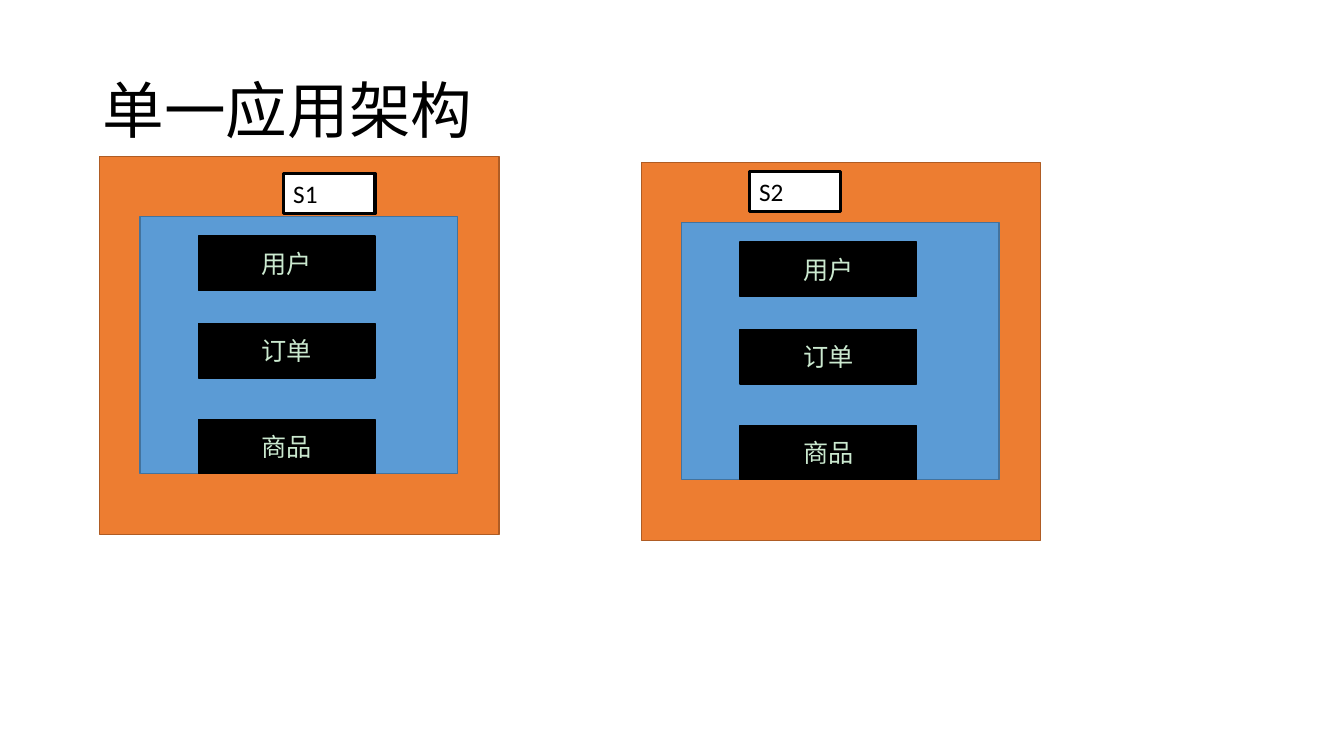
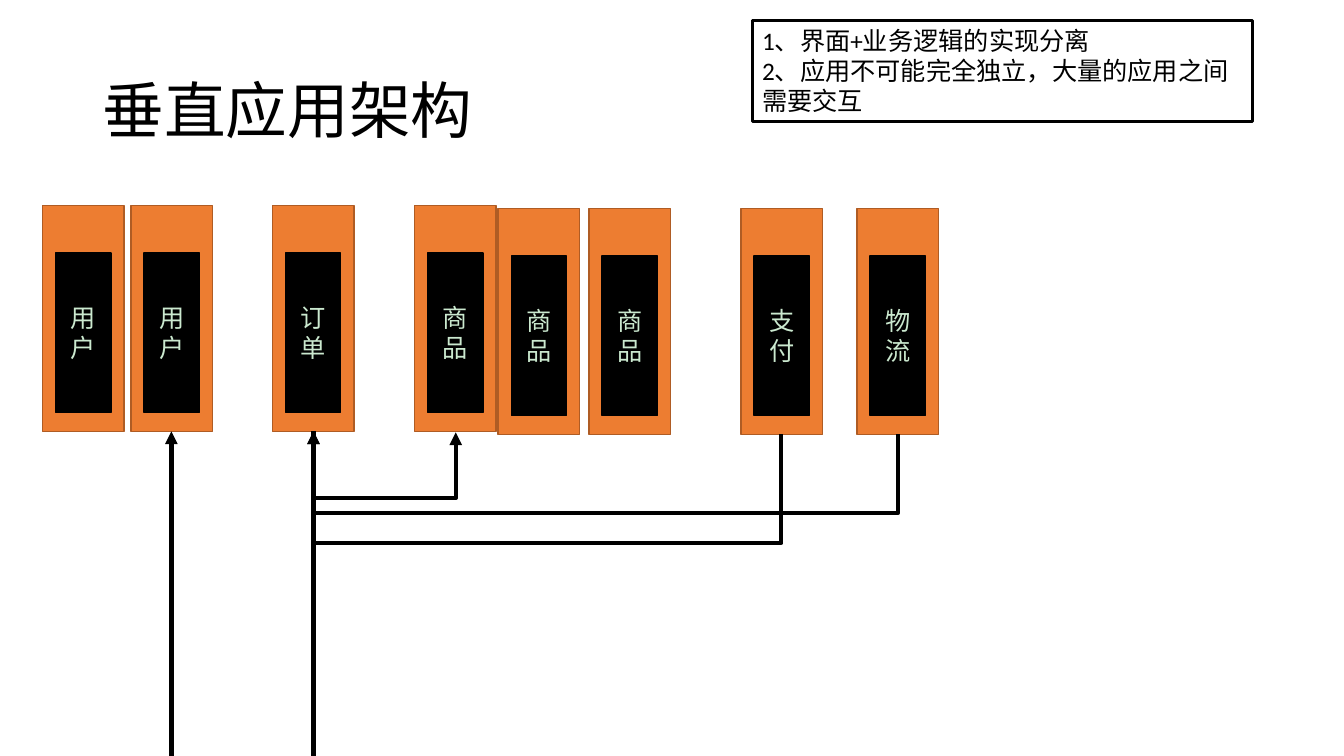
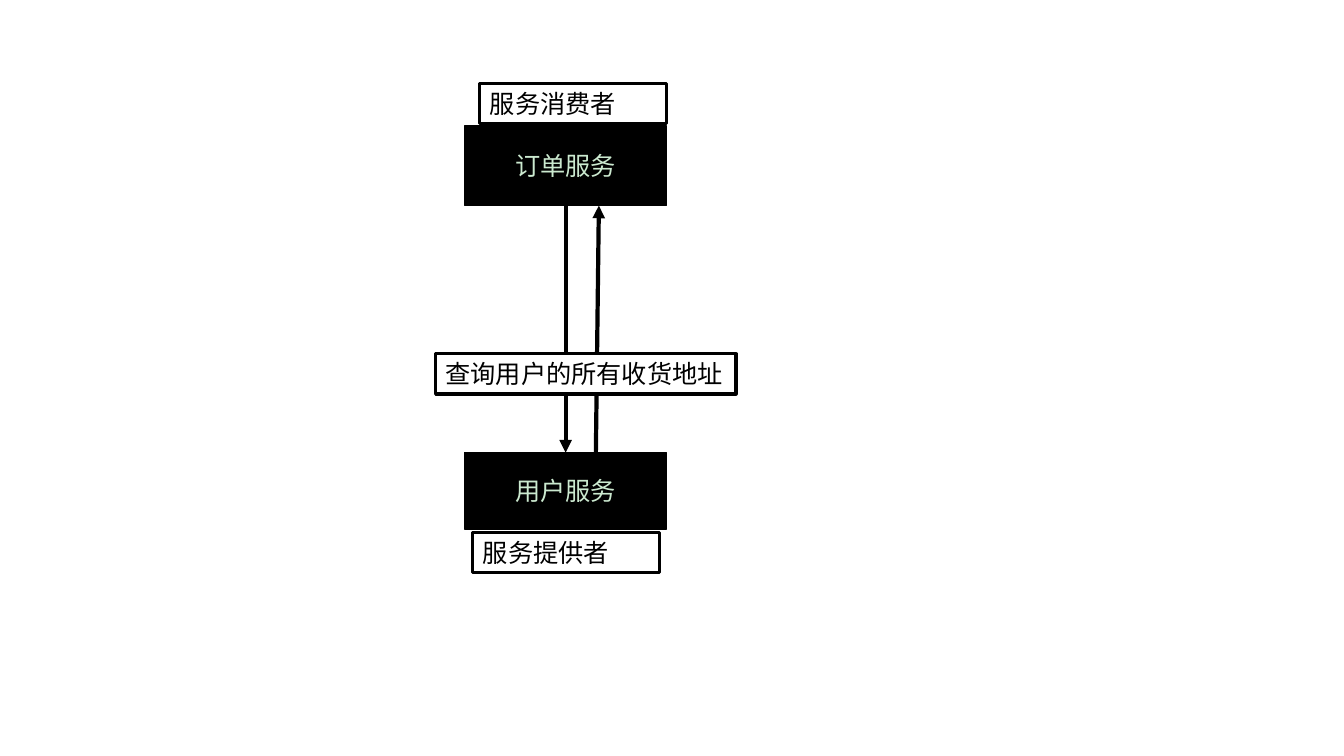
"""Build three slides on application architecture: single, vertical, and service calls."""
from lxml import etree
from pptx import Presentation
from pptx.dml.color import RGBColor
from pptx.enum.shapes import MSO_CONNECTOR, MSO_SHAPE
from pptx.enum.text import MSO_ANCHOR, PP_ALIGN
from pptx.oxml.ns import qn
from pptx.util import Inches, Pt

RECTANGLE = MSO_SHAPE.RECTANGLE
STRAIGHT, ELBOW = MSO_CONNECTOR.STRAIGHT, MSO_CONNECTOR.ELBOW
TOP, MIDDLE = MSO_ANCHOR.TOP, MSO_ANCHOR.MIDDLE
LEFT, CENTER = PP_ALIGN.LEFT, PP_ALIGN.CENTER

FONT = "Calibri"
COLORS = {
    "paper": "FFFFFF", "ink": "000000", "pale": "CBE9CF",
    "server": "ED7D31", "server_edge": "AF5C24",
    "application": "5B9BD5", "application_edge": "43739E",
}
STYLES = {
    "server": ("server", "server_edge", 1),
    "application": ("application", "application_edge", 1),
    "module": ("ink", "ink", 1),
    "label": ("paper", "ink", 2.25),
}

SINGLE_TITLE = "单一应用架构"
SERVERS = [(0.99, 1.55, "S1", 2.81, 1.72), (6.36, 1.61, "S2", 7.43, 1.7)]
MODULES = [("用户", 0.79), ("订单", 1.66), ("商品", 2.61)]

VERTICAL_TITLE = "垂直应用架构"
NOTES = ["1、界面+业务逻辑的实现分离", "2、应用不可能完全独立，大量的应用之间需要交互"]
APPLICATIONS = [
    ("用户", 0.42, 2.04), ("用户", 1.3, 2.04), ("订单", 2.7, 2.04), ("商品", 4.11, 2.04),
    ("商品", 4.94, 2.07), ("商品", 5.84, 2.07), ("支付", 7.35, 2.07), ("物流", 8.5, 2.07),
]
USER_X, ORDER_X, BASE = 1.7, 3.11, 4.28
LONG_CALL = [((ORDER_X, BASE), (ORDER_X, 7.5), False), ((USER_X, 7.5), (USER_X, BASE), True)]
CALLS = [
    ((ORDER_X, BASE), (4.52, 4.29), 4.95),
    ((7.75, 4.31), (ORDER_X, BASE), 5.39),
    ((8.91, 4.31), (ORDER_X, BASE), 5.09),
]

SERVICES = [("订单服务", 1.25, 0.79), ("用户服务", 4.49, 0.76)]
SERVICE_CALLS = [((5.61, 2.04), (5.61, 4.49)), ((5.91, 4.49), (5.94, 2.04))]
SERVICE_LABELS = [
    ("查询用户的所有收货地址", 4.32, 3.51, 2.98),
    ("服务提供者", 4.69, 5.28, 1.85),
    ("服务消费者", 4.76, 0.83, 1.85),
]


def color(name):
    return RGBColor.from_string(COLORS[name])


def write(shape, lines, size, ink, anchor, alignment, spacing=None):
    frame = shape.text_frame
    frame.word_wrap = True
    frame.vertical_anchor = anchor
    frame.text = "\n".join(lines)
    for paragraph in frame.paragraphs:
        paragraph.alignment = alignment
        paragraph.line_spacing = spacing
        paragraph.font.name = FONT
        paragraph.font.size = Pt(size)
        paragraph.font.color.rgb = color(ink)


def add_slide(title=None):
    slide = presentation.slides.add_slide(presentation.slide_layouts[6])
    slide.background.fill.solid()
    slide.background.fill.fore_color.rgb = color("paper")
    if title:
        box = slide.shapes.add_textbox(Inches(0.92), Inches(0.4), Inches(11.5), Inches(1.45))
        write(box, [title], 44, "ink", MIDDLE, LEFT, 0.9)
    return slide


def add_box(slide, style, left, top, width, height):
    fill, edge, weight = STYLES[style]
    shape = slide.shapes.add_shape(RECTANGLE, *map(Inches, (left, top, width, height)))
    shape.shadow.inherit = False
    shape.fill.solid()
    shape.fill.fore_color.rgb = color(fill)
    shape.line.color.rgb = color(edge)
    shape.line.width = Pt(weight)
    return shape


def add_module(slide, text, *place):
    write(add_box(slide, "module", *place), [text], 18, "pale", MIDDLE, CENTER)


def add_label(slide, lines, *place):
    write(add_box(slide, "label", *place), lines, 18, "ink", TOP, LEFT)


def add_line(slide, start, end, kind=STRAIGHT, arrow=True):
    connector = slide.shapes.add_connector(kind, *map(Inches, start + end))
    connector.line.color.rgb = color("ink")
    connector.line.width = Pt(3)
    properties = connector._element.spPr
    if arrow:
        etree.SubElement(properties.find(qn("a:ln")), qn("a:tailEnd"), type="triangle")
    etree.SubElement(properties, qn("a:effectLst"))
    return connector


def add_call(slide, start, end, bottom):
    """Bend a connector down to the given depth and back up."""
    connector = add_line(slide, start, end, ELBOW)
    (start_x, start_y), (end_x, end_y) = start, end
    rise, run = abs(end_y - start_y), abs(end_x - start_x)
    connector.left = Inches((start_x + end_x - rise) / 2)
    connector.top = Inches((start_y + end_y - run) / 2)
    connector.width, connector.height = Inches(rise), Inches(run)
    properties = connector._element.spPr
    transform = properties.find(qn("a:xfrm"))
    transform.attrib.pop("flipV", None)
    transform.set("flipH", "1")
    transform.set("rot", str((90 if end_x < start_x else 270) * 60000))
    adjustments = properties.find(qn("a:prstGeom")).get_or_add_avLst()
    depth = round((bottom - start_y) / (end_y - start_y) * 100000)
    etree.SubElement(adjustments, qn("a:gd"), name="adj1", fmla=f"val {depth}")


presentation = Presentation()
presentation.slide_width, presentation.slide_height = Inches(13.33), Inches(7.5)

single = add_slide(SINGLE_TITLE)
for left, top, name, label_left, label_top in SERVERS:
    add_box(single, "server", left, top, 3.96, 3.75)
    add_box(single, "application", left + 0.4, top + 0.6, 3.15, 2.55)
    for text, offset in MODULES:
        add_module(single, text, left + 0.98, top + offset, 1.75, 0.54)
    add_label(single, [name], label_left, label_top, 0.91, 0.4)

vertical = add_slide(VERTICAL_TITLE)
for text, left, top in APPLICATIONS:
    add_box(vertical, "server", left, top, 0.81, 2.24)
    add_module(vertical, text, left + 0.13, top + 0.47, 0.55, 1.58)
add_label(vertical, NOTES, 7.46, 0.2, 4.96, 1.01)
for start, end, arrow in LONG_CALL:
    add_line(vertical, start, end, arrow=arrow)
for start, end, bottom in CALLS:
    add_call(vertical, start, end, bottom)

calls = add_slide()
for text, top, height in SERVICES:
    add_module(calls, text, 4.61, top, 2, height)
for start, end in SERVICE_CALLS:
    add_line(calls, start, end)
for text, left, top, width in SERVICE_LABELS:
    add_label(calls, [text], left, top, width, 0.4)

presentation.save("out.pptx")
